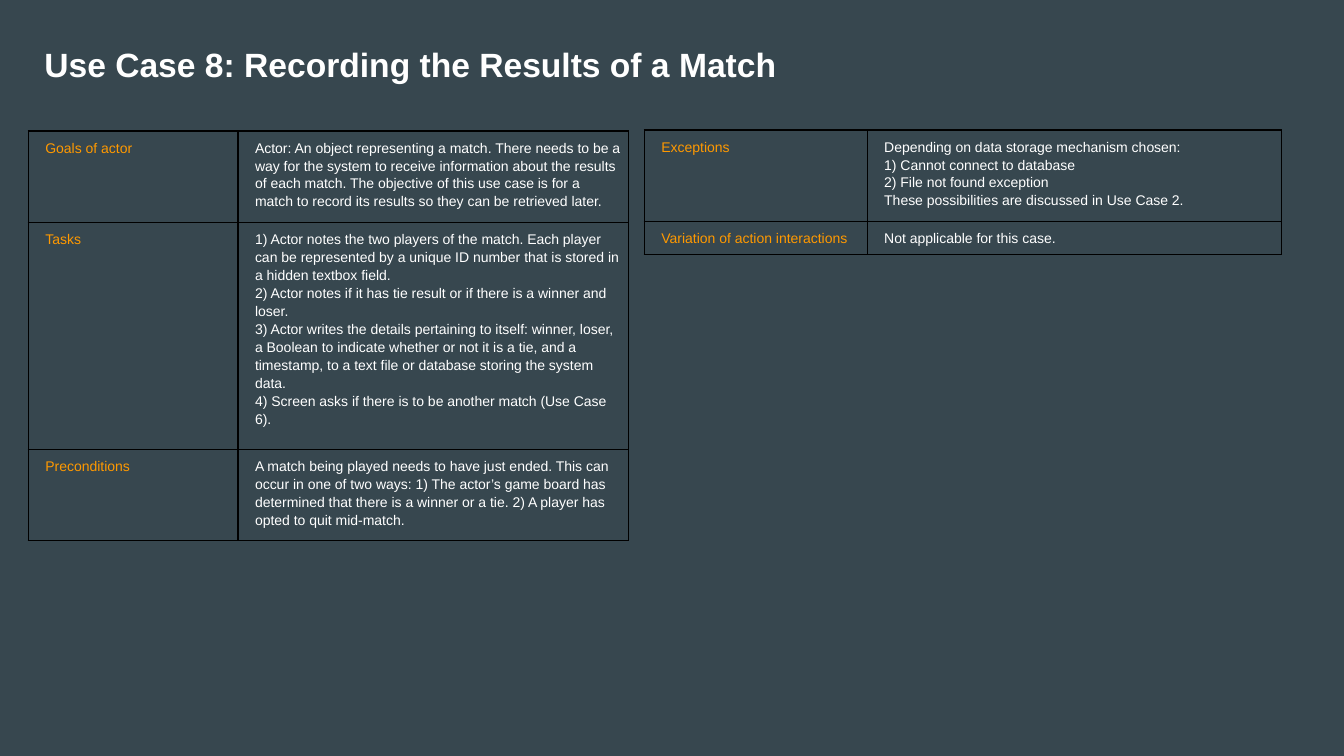
"""Build the slide for Use Case 8: Recording the Results of a Match."""
import pptx
import pptx.dml.color
import pptx.enum.text
import pptx.oxml
import pptx.oxml.ns
import pptx.util

Inches = pptx.util.Inches
Pt = pptx.util.Pt

TITLE = "Use Case 8: Recording the Results of a Match"
GOALS_AND_TASKS = [
    ("Goals of actor", [
        "Actor: An object representing a match. There needs to be a way for the system to receive "
        "information about the results of each match. The objective of this use case is for a match "
        "to record its results so they can be retrieved later.",
    ]),
    ("Tasks", [
        "1) Actor notes the two players of the match. Each player can be represented by a unique ID "
        "number that is stored in a hidden textbox field.",
        "2) Actor notes if it has tie result or if there is a winner and loser.",
        "3) Actor writes the details pertaining to itself: winner, loser, a Boolean to indicate "
        "whether or not it is a tie, and a timestamp, to a text file or database storing the system data.",
        "4) Screen asks if there is to be another match (Use Case 6).",
    ]),
    ("Preconditions", [
        "A match being played needs to have just ended. This can occur in one of two ways: 1) The "
        "actor’s game board has determined that there is a winner or a tie. 2) A player has opted "
        "to quit mid-match.",
    ]),
]
EXCEPTIONS = [
    ("Exceptions", [
        "Depending on data storage mechanism chosen:",
        "1) Cannot connect to database",
        "2) File not found exception",
        "These possibilities are discussed in Use Case 2.",
    ]),
    ("Variation of action interactions", ["Not applicable for this case."]),
]
TABLES = [
    {"rows": GOALS_AND_TASKS, "left": 0.28, "top": 1.3, "columns": (2.08, 3.87)},
    {"rows": EXCEPTIONS, "left": 6.39, "top": 1.29, "columns": (2.21, 4.11)},
]
THEME = {
    "font": "Arial", "background": "37474F", "text": "FFFFFF", "label": "FF9900",
    "border": "000000", "border_width": 1, "title_size": 24, "body_size": 10,
}
MIN_ROW_HEIGHT = 0.14
CELL_INDENT = 0.1


def rgb(name):
    return pptx.dml.color.RGBColor.from_string(THEME[name])


def apply(target, values):
    for name, value in values.items():
        setattr(target, name, value)


def margins(inset):
    return {f"margin_{side}": Inches(inset) for side in ("left", "top", "right", "bottom")}


def write(frame, lines, color, size, spacing, bold=False, indent=0):
    for number, line in enumerate(lines):
        paragraph = frame.add_paragraph() if number else frame.paragraphs[0]
        paragraph.line_spacing = spacing
        if indent:
            paragraph._p.get_or_add_pPr().set("marL", str(Inches(indent)))
            paragraph._p.get_or_add_pPr().set("indent", "0")
        run = paragraph.add_run()
        run.text = line
        apply(run.font, {"name": THEME["font"], "size": Pt(THEME[size]), "bold": bold})
        run.font.color.rgb = rgb(color)


def add_borders(cell):
    properties = cell._tc.get_or_add_tcPr()
    for position, side in enumerate("LRTB"):
        properties.insert(position, pptx.oxml.parse_xml(
            f'<a:ln{side} {pptx.oxml.ns.nsdecls("a")} w="{Pt(THEME["border_width"])}">'
            f'<a:solidFill><a:srgbClr val="{THEME["border"]}"/></a:solidFill></a:ln{side}>'))


def add_case_table(slide, rows, left, top, columns):
    table = slide.shapes.add_table(
        len(rows), len(columns), Inches(left), Inches(top),
        Inches(sum(columns)), Inches(MIN_ROW_HEIGHT * len(rows))).table
    apply(table, {"first_row": False, "horz_banding": False})
    for column, width in zip(table.columns, columns):
        column.width = Inches(width)
    for row, (label, details) in zip(table.rows, rows):
        row.height = Inches(MIN_ROW_HEIGHT)
        for cell, lines, color in zip(row.cells, ([label], details), ("label", "text")):
            apply(cell, margins(0.07))
            cell.fill.background()
            add_borders(cell)
            write(cell.text_frame, lines, color, "body_size", 1.15, indent=CELL_INDENT)


def main():
    deck = pptx.Presentation()
    apply(deck, {"slide_width": Inches(13.33), "slide_height": Inches(7.5)})
    slide = deck.slides.add_slide(deck.slide_layouts[6])
    slide.background.fill.solid()
    slide.background.fill.fore_color.rgb = rgb("background")

    heading = slide.shapes.add_textbox(
        Inches(0.31), Inches(0.29), Inches(11.5), Inches(0.75)).text_frame
    apply(heading, {**margins(0.13), "word_wrap": True,
                    "vertical_anchor": pptx.enum.text.MSO_ANCHOR.MIDDLE})
    write(heading, [TITLE], "text", "title_size", 0.9, bold=True)

    for case_table in TABLES:
        add_case_table(slide, **case_table)
    deck.save("out.pptx")


if __name__ == "__main__":
    main()
